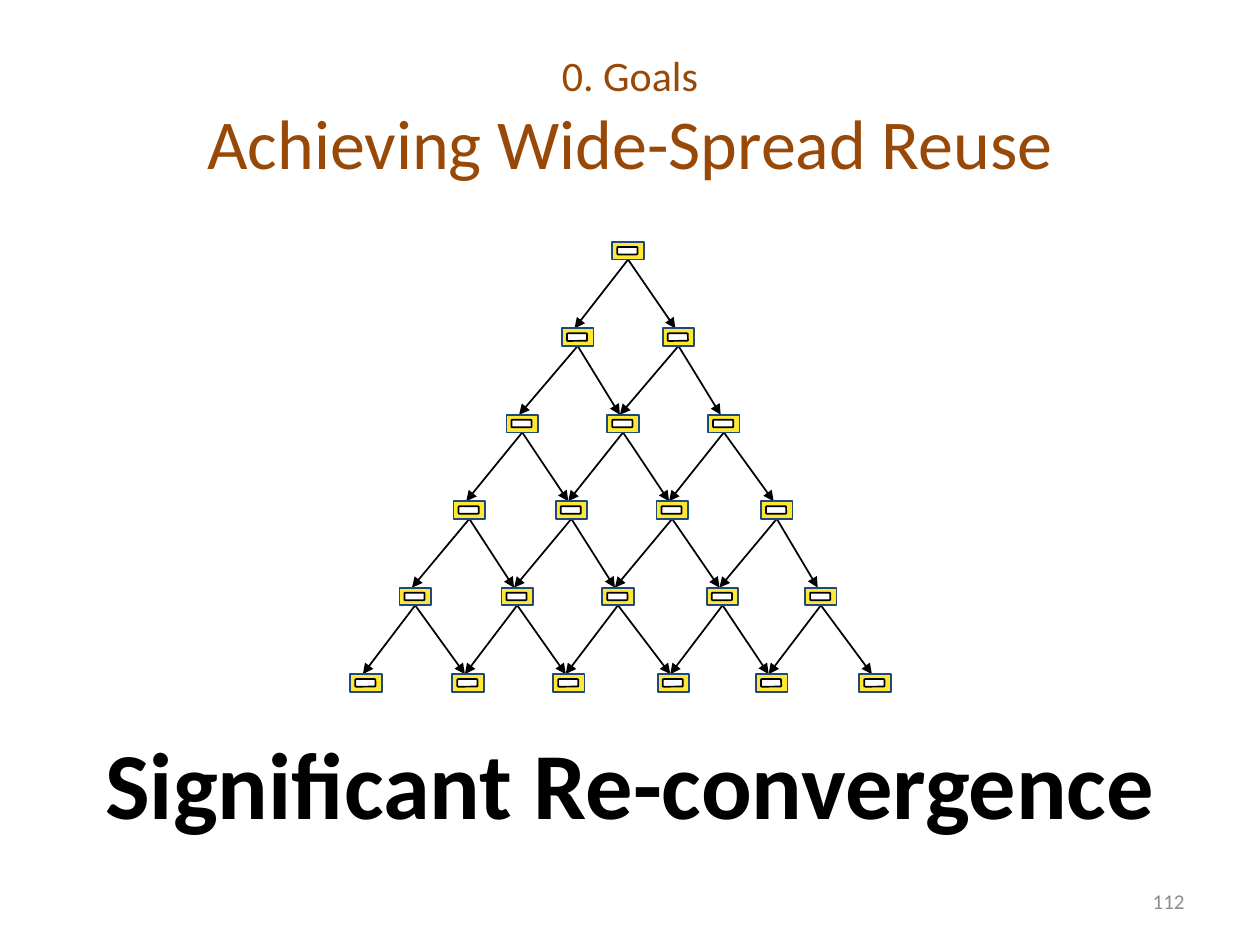
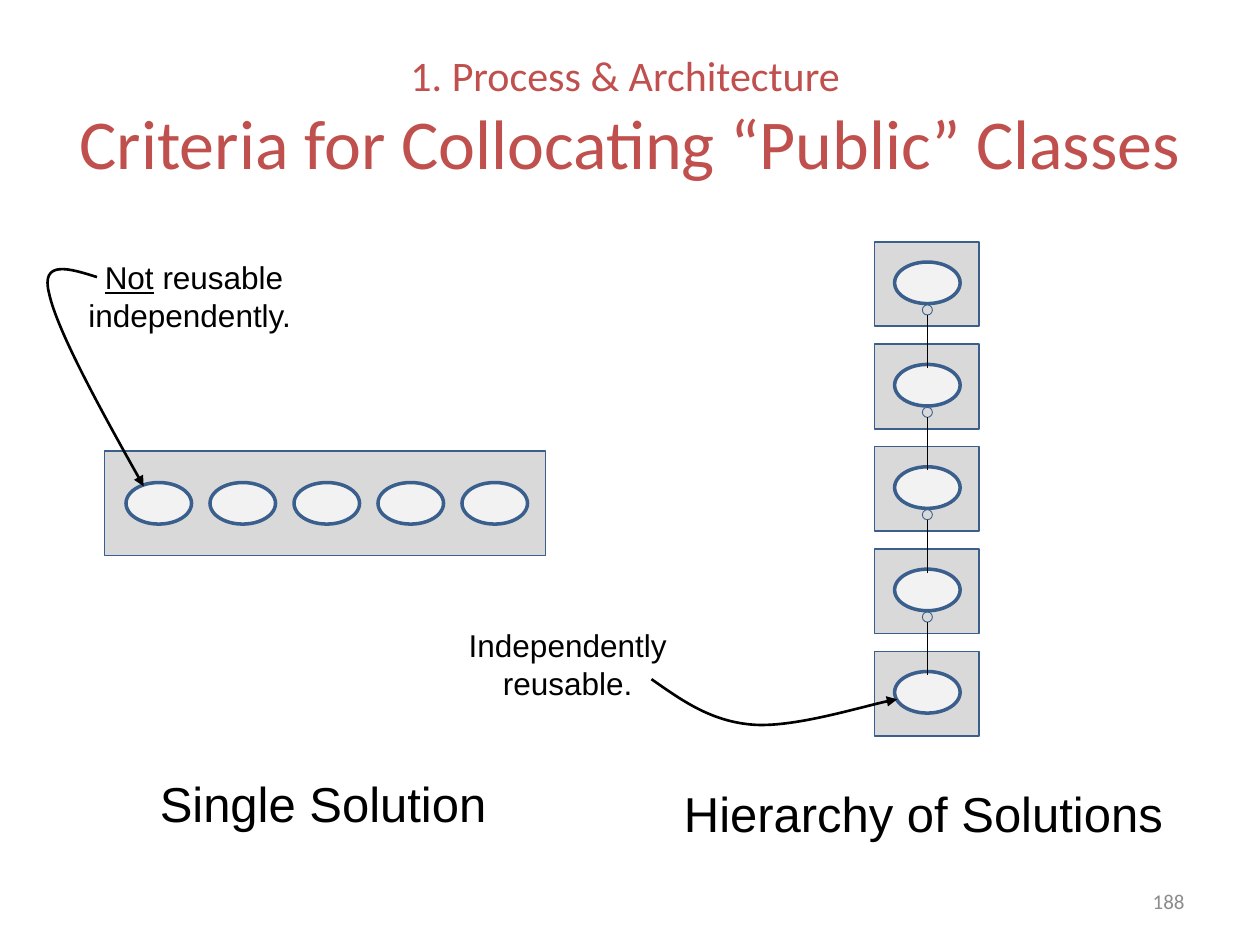
from lxml import etree
from pptx import Presentation
from pptx.dml.color import RGBColor
from pptx.enum.shapes import MSO_CONNECTOR, MSO_SHAPE
from pptx.enum.text import MSO_ANCHOR, PP_ALIGN
from pptx.oxml.ns import qn
from pptx.util import Inches, Pt

RECTANGLE = MSO_SHAPE.RECTANGLE
ROUNDED = MSO_SHAPE.ROUNDED_RECTANGLE
OVAL = MSO_SHAPE.OVAL
STRAIGHT = MSO_CONNECTOR.STRAIGHT
LEFT, CENTER, RIGHT = PP_ALIGN.LEFT, PP_ALIGN.CENTER, PP_ALIGN.RIGHT
TOP, MIDDLE, BOTTOM = MSO_ANCHOR.TOP, MSO_ANCHOR.MIDDLE, MSO_ANCHOR.BOTTOM

COLORS = {
    "goals": "984807",
    "process": "C0504D",
    "text": "000000",
    "page": "8C8C8C",
    "node": "FFE735",
    "node_line": "1F497D",
    "white": "FFFFFF",
    "component": "D9D9D9",
    "class": "F2F2F2",
    "outline": "3A5F8C",
}

# Left edges of the component nodes, one list per level
PYRAMID = [
    [4.86],
    [4.46, 5.26],
    [4.02, 4.82, 5.62],
    [3.6, 4.41, 5.21, 6.04],
    [3.17, 3.98, 4.78, 5.61, 6.39],
    [2.78, 3.59, 4.39, 5.22, 6, 6.82],
]
PYRAMID_TOP, PYRAMID_BOTTOM = 1.92, 5.35
NODE_WIDTH, NODE_HEIGHT = 0.25, 0.14

CLASS_COUNT = 5
CLASS_WIDTH, CLASS_HEIGHT = 0.52, 0.33
TOWER_LEFT, TOWER_TOP, TOWER_BOTTOM = 6.94, 1.92, 5.17
TOWER_CENTER = 7.36


def color(name):
    return RGBColor.from_string(COLORS[name])


def add_run(paragraph, text, size, color_name, font="Arial", bold=False, underline=False):
    run = paragraph.add_run()
    run.text = text
    run.font.name = font
    run.font.size = Pt(size)
    run.font.bold = bold
    run.font.underline = underline
    run.font.color.rgb = color(color_name)


def add_text_box(slide, box, align=LEFT, anchor=TOP, wrap=True):
    """Add an empty text box and return its text frame."""
    frame = slide.shapes.add_textbox(*map(Inches, box)).text_frame
    frame.word_wrap = wrap
    frame.vertical_anchor = anchor
    frame.paragraphs[0].alignment = align
    return frame


def add_title(slide, section, title, color_name):
    frame = add_text_box(slide, (0.5, 0.3, 9, 1.25), CENTER, MIDDLE, wrap=False)
    paragraph = frame.paragraphs[0]
    add_run(paragraph, section, 24, color_name, "Calibri")
    paragraph.add_line_break()
    add_run(paragraph, title, 40, color_name, "Calibri")


def add_page_number(slide, number):
    frame = add_text_box(slide, (7.17, 6.95, 2.33, 0.4), RIGHT, MIDDLE)
    add_run(frame.paragraphs[0], number, 12, "page", "Calibri")


def add_caption(slide, text, box):
    frame = add_text_box(slide, box, wrap=False)
    add_run(frame.paragraphs[0], text, 28, "text")


def add_box(shapes, kind, box, fill, line, width=1.0):
    shape = shapes.add_shape(kind, *map(Inches, box))
    shape.shadow.inherit = False
    shape.fill.solid()
    shape.fill.fore_color.rgb = color(fill)
    shape.line.color.rgb = color(line)
    shape.line.width = Pt(width)
    return shape


def style_line(line, width, arrow):
    line.color.rgb = color("text")
    line.width = Pt(width)
    if arrow:
        head = etree.SubElement(line._get_or_add_ln(), qn("a:tailEnd"))
        head.set("type", "triangle")


def add_line(shapes, start, end, width=1.0, arrow=False):
    connector = shapes.add_connector(STRAIGHT, *map(Inches, start + end))
    style_line(connector.line, width, arrow)
    etree.SubElement(connector._element.spPr, qn("a:effectLst"))


def add_curved_arrow(slide, points):
    """Draw cubic curves: a start point, then three points for each curve."""
    corners = [tuple(map(Inches, point)) for point in points]
    builder = slide.shapes.build_freeform(*corners[0])
    builder.add_line_segments(corners[1:], close=False)
    shape = builder.convert_to_shape()
    shape.shadow.inherit = False
    shape.fill.background()
    style_line(shape.line, 1.5, arrow=True)
    # Turn each three straight segments into one cubic curve
    segments = list(shape._element.iter(qn("a:lnTo")))
    outline = segments[0].getparent()
    for index in range(0, len(segments), 3):
        curve = etree.SubElement(outline, qn("a:cubicBezTo"))
        for segment in segments[index:index + 3]:
            curve.append(segment[0])
            outline.remove(segment)


def add_node(shapes, left, top):
    add_box(shapes, RECTANGLE, (left, top, NODE_WIDTH, NODE_HEIGHT), "node", "node_line")
    core = add_box(shapes, ROUNDED, (left + 0.04, top + 0.04, 0.16, 0.06), "white", "text")
    core.adjustments[0] = 0.12


def add_class(shapes, left, top):
    add_box(shapes, OVAL, (left, top, CLASS_WIDTH, CLASS_HEIGHT), "class", "outline", 2)


def add_pyramid(slide):
    shapes = slide.shapes.add_group_shape().shapes
    step = (PYRAMID_BOTTOM - PYRAMID_TOP) / (len(PYRAMID) - 1)
    tops = [PYRAMID_TOP + level * step for level in range(len(PYRAMID))]
    # Each node points at the two nodes below it
    for level, lefts in enumerate(PYRAMID[:-1]):
        for index, left in enumerate(lefts):
            start = (left + NODE_WIDTH / 2, tops[level] + NODE_HEIGHT)
            for target in PYRAMID[level + 1][index:index + 2]:
                add_line(shapes, start, (target + 0.1, tops[level + 1]), arrow=True)
    for top, lefts in zip(tops, PYRAMID):
        for left in lefts:
            add_node(shapes, left, top)


def add_single_solution(slide):
    shapes = slide.shapes.add_group_shape().shapes
    add_box(shapes, RECTANGLE, (0.83, 3.58, 3.5, 0.83), "component", "outline")
    for index in range(CLASS_COUNT):
        add_class(shapes, 1 + index * 2 / 3, 3.83)


def add_hierarchy(slide):
    shapes = slide.shapes.add_group_shape().shapes
    step = (TOWER_BOTTOM - TOWER_TOP) / (CLASS_COUNT - 1)
    tops = [TOWER_TOP + index * step for index in range(CLASS_COUNT)]
    for top in tops:
        add_box(shapes, RECTANGLE, (TOWER_LEFT, top, 0.83, 0.67), "component", "outline")
        add_class(shapes, TOWER_LEFT + 0.16, top + 0.16)
    # Dependency of each component on the next one
    for top in tops[:-1]:
        add_box(shapes, OVAL, (TOWER_CENTER - 0.04, top + 0.5, 0.08, 0.08),
                "component", "outline", 0.5)
        add_line(shapes, (TOWER_CENTER, top + 0.58), (TOWER_CENTER, top + 1), 0.75)


def build_reuse_slide(slide):
    add_title(slide, "0. Goals", "Achieving Wide-Spread Reuse", "goals")
    message = add_text_box(slide, (0.5, 1.75, 9, 4.95), CENTER, BOTTOM)
    add_run(message.paragraphs[0], "Significant Re-convergence", 54, "text", "Calibri", bold=True)
    add_pyramid(slide)
    add_page_number(slide, "112")


def build_criteria_slide(slide):
    add_title(slide, "1. Process & Architecture ",
              "Criteria for Collocating “Public” Classes", "process")
    add_single_solution(slide)
    add_hierarchy(slide)
    add_caption(slide, "Hierarchy of Solutions", (5.33, 6.17, 4.05, 0.57))
    add_caption(slide, "Single Solution", (1.17, 6.09, 2.83, 0.57))

    # Notes with their arrows
    note = add_text_box(slide, (0.5, 2, 2.08, 0.71), CENTER).paragraphs[0]
    add_run(note, "Not", 18, "text", underline=True)
    add_run(note, " reusable independently. ", 18, "text")
    add_curved_arrow(slide, [(0.77, 2.2), (0.55, 2.13), (0.32, 2.06), (0.39, 2.33),
                             (0.45, 2.61), (0.79, 3.24), (1.14, 3.86)])

    frame = add_text_box(slide, (3, 4.92, 3.08, 0.71), CENTER)
    add_run(frame.paragraphs[0], "Independently ", 18, "text")
    second = frame.add_paragraph()
    second.alignment = CENTER
    add_run(second, "reusable. ", 18, "text")
    add_curved_arrow(slide, [(5.17, 5.39), (5.4, 5.55), (5.63, 5.72), (5.96, 5.75),
                             (6.28, 5.78), (6.93, 5.58), (7.12, 5.55)])
    add_page_number(slide, "188")


def main():
    presentation = Presentation()
    presentation.slide_width = Inches(10)
    presentation.slide_height = Inches(7.5)
    blank = presentation.slide_layouts[6]
    for build in (build_reuse_slide, build_criteria_slide):
        build(presentation.slides.add_slide(blank))
    presentation.save("out.pptx")


if __name__ == "__main__":
    main()
